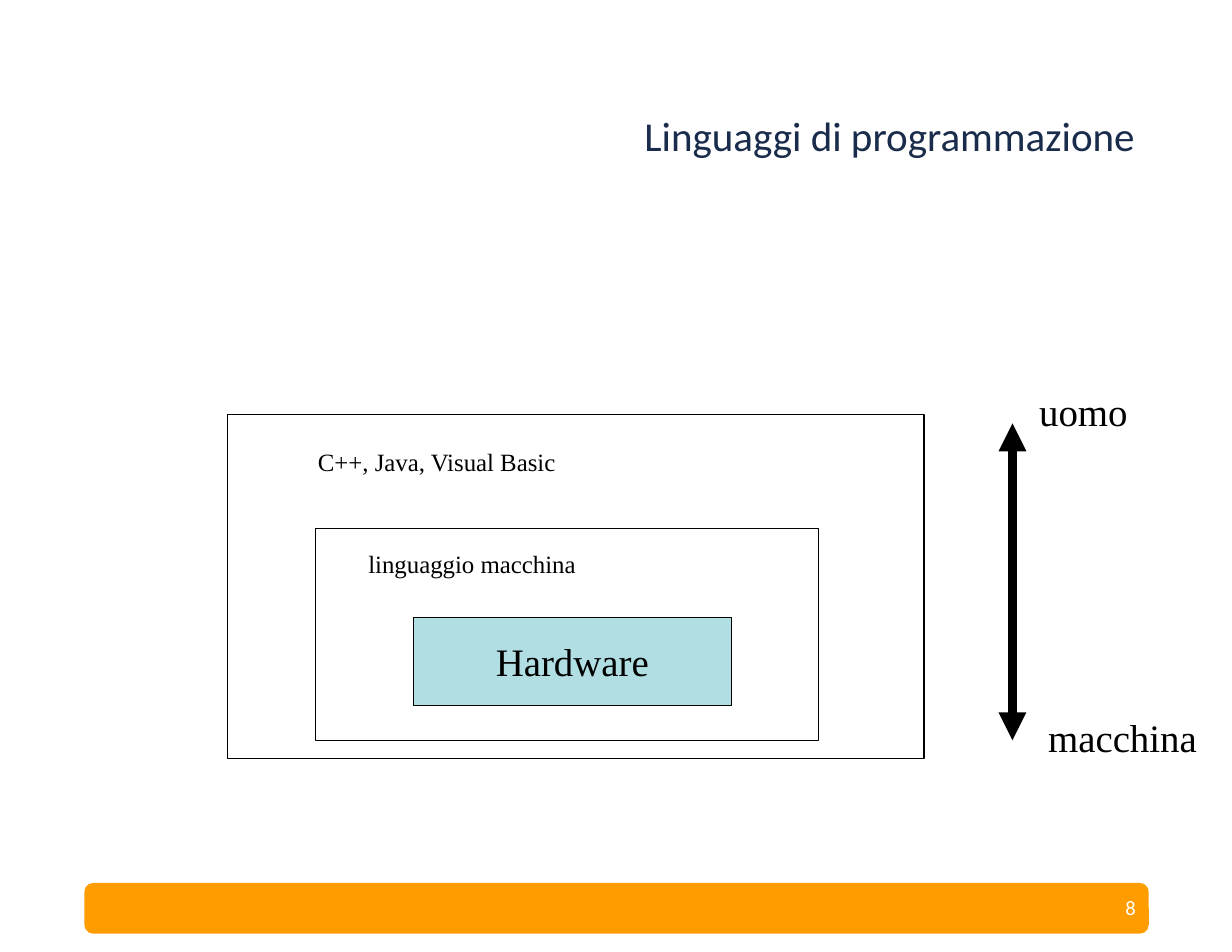
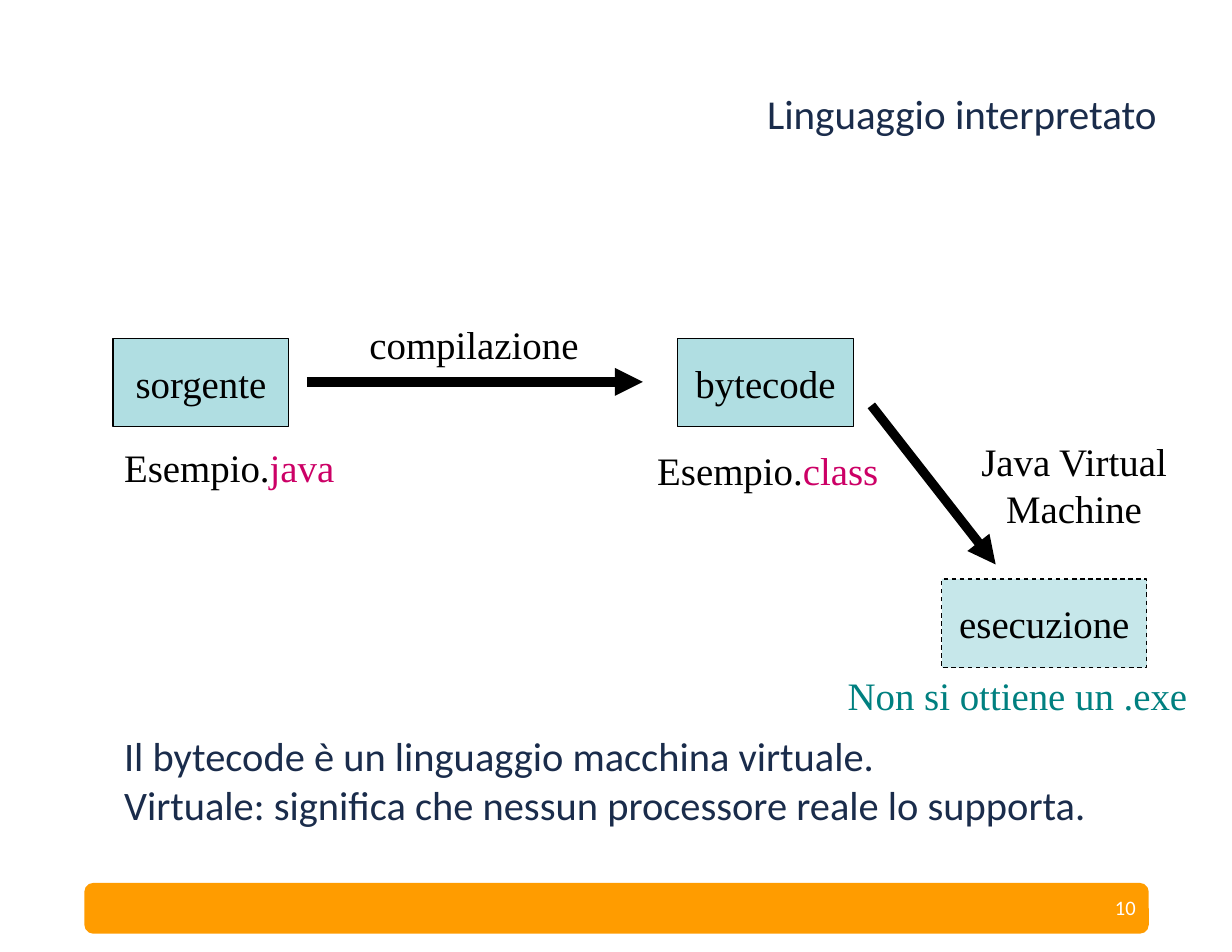
from lxml import etree
from pptx import Presentation
from pptx.dml.color import RGBColor
from pptx.enum.dml import MSO_LINE
from pptx.enum.shapes import MSO_CONNECTOR, MSO_SHAPE
from pptx.enum.text import MSO_ANCHOR, MSO_AUTO_SIZE, PP_ALIGN
from pptx.oxml.ns import qn
from pptx.util import Inches, Pt

RECT, ROUNDED = MSO_SHAPE.RECTANGLE, MSO_SHAPE.ROUNDED_RECTANGLE
STRAIGHT, DASH = MSO_CONNECTOR.STRAIGHT, MSO_LINE.DASH
TOP, MIDDLE = MSO_ANCHOR.TOP, MSO_ANCHOR.MIDDLE
LEFT, CENTER, RIGHT = PP_ALIGN.LEFT, PP_ALIGN.CENTER, PP_ALIGN.RIGHT
NO_FIT = MSO_AUTO_SIZE.NONE

COLORS = {
    "band": "FF9C00",
    "navy": "1A2C4B",
    "white": "FFFFFF",
    "black": "000000",
    "box": "8FD0D7",
    "extension": "CC0066",
    "note": "008080",
}
HEADING_FONT, DIAGRAM_FONT = "Calibri", "Times New Roman"
WIDE_INSETS, INSETS = (0.11, 0.06), (0.1, 0.05)
BOX_HEIGHT = 0.79
LABEL_HEIGHT = 0.52


def rgb(name):
    """Return the named colour of the palette."""
    return RGBColor.from_string(COLORS[name])


def write_text(frame, text, size=25, font=DIAGRAM_FONT, color="black", align=LEFT,
               anchor=TOP, insets=INSETS, spacing=None):
    """Fill a frame; lines split at newlines, a line may be (text, colour) runs."""
    frame.word_wrap = True
    frame.auto_size = NO_FIT
    frame.vertical_anchor = anchor
    frame.margin_left = frame.margin_right = Inches(insets[0])
    frame.margin_top = frame.margin_bottom = Inches(insets[1])
    lines = [[(line, color)] for line in text.split("\n")] if isinstance(text, str) else [text]
    for index, line in enumerate(lines):
        paragraph = frame.paragraphs[0] if index == 0 else frame.add_paragraph()
        paragraph.alignment = align
        if spacing:
            paragraph.line_spacing = spacing
        for words, run_color in line:
            run = paragraph.add_run()
            run.text = words
            run.font.size = Pt(size)
            run.font.name = font
            run.font.color.rgb = rgb(run_color)


class Deck:
    """Holds the presentation, its shared style and the current slide."""

    def __init__(self):
        """Start an empty presentation of 11 by 8.5 inches."""
        self.presentation = Presentation()
        self.presentation.slide_width = Inches(11)
        self.presentation.slide_height = Inches(8.5)
        self.slide = None

    def start_slide(self, title, title_area, number):
        """Add a slide with its footer band, title and page number."""
        self.slide = self.presentation.slides.add_slide(self.presentation.slide_layouts[5])
        self.shape(0.76, 7.89, 9.49, 0.44, ROUNDED, fill="band", line="band", weight=1)
        heading = self.slide.shapes.title
        heading.left, heading.top, heading.width, heading.height = map(Inches, title_area)
        write_text(heading.text_frame, title, size=26.4, font=HEADING_FONT, color="navy",
                   align=CENTER, anchor=MIDDLE, insets=WIDE_INSETS, spacing=0.9)
        self.label(number, 7.77, 7.88, 2.48, 0.45, size=13.2, font=HEADING_FONT,
                   color="white", align=RIGHT, anchor=MIDDLE, insets=WIDE_INSETS)

    def shape(self, left, top, width, height, kind=RECT, fill=None, opacity=None,
              line="black", weight=0.75, dash=None):
        """Add an outlined shape, unfilled unless a fill colour is named."""
        shape = self.slide.shapes.add_shape(
            kind, Inches(left), Inches(top), Inches(width), Inches(height))
        shape.shadow.inherit = False
        if fill:
            shape.fill.solid()
            shape.fill.fore_color.rgb = rgb(fill)
        else:
            shape.fill.background()
        if opacity:
            color = shape.element.spPr.find(qn("a:solidFill")).find(qn("a:srgbClr"))
            etree.SubElement(color, qn("a:alpha")).set("val", str(opacity * 1000))
        shape.line.color.rgb = rgb(line)
        shape.line.width = Pt(weight)
        if dash:
            shape.line.dash_style = dash
        return shape

    def box(self, text, left, top, width, opacity=70, dash=None):
        """Add a tinted diagram box with a centred caption."""
        box = self.shape(left, top, width, BOX_HEIGHT, fill="box", opacity=opacity, dash=dash)
        write_text(box.text_frame, text, align=CENTER, anchor=MIDDLE)

    def label(self, text, left, top, width, height=LABEL_HEIGHT, **style):
        """Add a free-standing text."""
        label = self.slide.shapes.add_textbox(
            Inches(left), Inches(top), Inches(width), Inches(height))
        write_text(label.text_frame, text, **style)

    def arrow(self, start, end, ends=("tailEnd",)):
        """Add a thick arrow with triangles at the given ends."""
        arrow = self.slide.shapes.add_connector(STRAIGHT, *map(Inches, (*start, *end)))
        arrow.line.color.rgb = rgb("black")
        arrow.line.width = Pt(6)
        properties = arrow.element.spPr
        for end_name in ends:
            tip = etree.SubElement(properties.find(qn("a:ln")), qn("a:" + end_name))
            tip.set("type", "triangle")
        etree.SubElement(properties, qn("a:effectLst"))


def build_language_levels(deck):
    """Nested layers from the hardware up to programming languages."""
    deck.start_slide("Linguaggi di programmazione", (5.5, 0.44, 4.89, 1.58), "8")
    deck.box("Hardware", 3.69, 5.51, 2.84)
    deck.shape(2.82, 4.72, 4.49, 1.89)
    deck.label("linguaggio macchina", 3.19, 4.85, 2.1, 0.37, size=16)
    deck.shape(2.03, 3.7, 6.22, 3.07)
    deck.label("C++, Java, Visual Basic", 2.74, 3.94, 2.4, 0.37, size=16)
    deck.arrow((9.04, 3.78), (9.04, 6.61), ends=("headEnd", "tailEnd"))
    deck.label("macchina", 9.26, 6.32, 1.55)
    deck.label("uomo", 9.18, 3.41, 1)


def build_interpreted_language(deck):
    """Path from source through bytecode to execution."""
    deck.start_slide("Linguaggio interpretato", (6.46, 0.25, 4.26, 1.58), "10")
    deck.box("sorgente", 1.01, 3.02, 1.57)
    deck.arrow((2.74, 3.41), (5.74, 3.41))
    deck.box("bytecode", 6.05, 3.02, 1.57)
    for extension, left, top, width in (("java", 1.01, 3.91, 2.1), ("class", 5.77, 3.94, 2.2)):
        deck.label([("Esempio.", "black"), (extension, "extension")], left, top, width)
    deck.label("compilazione", 3.2, 2.81, 2.09)
    deck.label("Il bytecode è un linguaggio macchina virtuale.\n"
               "Virtuale: significa che nessun processore reale lo supporta.",
               1.01, 6.48, 9.43, 0.98, size=26, font=HEADING_FONT, color="navy")
    deck.box("esecuzione", 8.41, 5.17, 1.83, opacity=50, dash=DASH)
    deck.arrow((7.78, 3.62), (8.89, 5.04))
    deck.label("Non si ottiene un .exe", 7.47, 5.95, 3.28, color="note")
    deck.label("Java Virtual\nMachine", 8.65, 3.86, 1.88, 0.94, align=CENTER)


deck = Deck()
build_language_levels(deck)
build_interpreted_language(deck)
deck.presentation.save("out.pptx")
